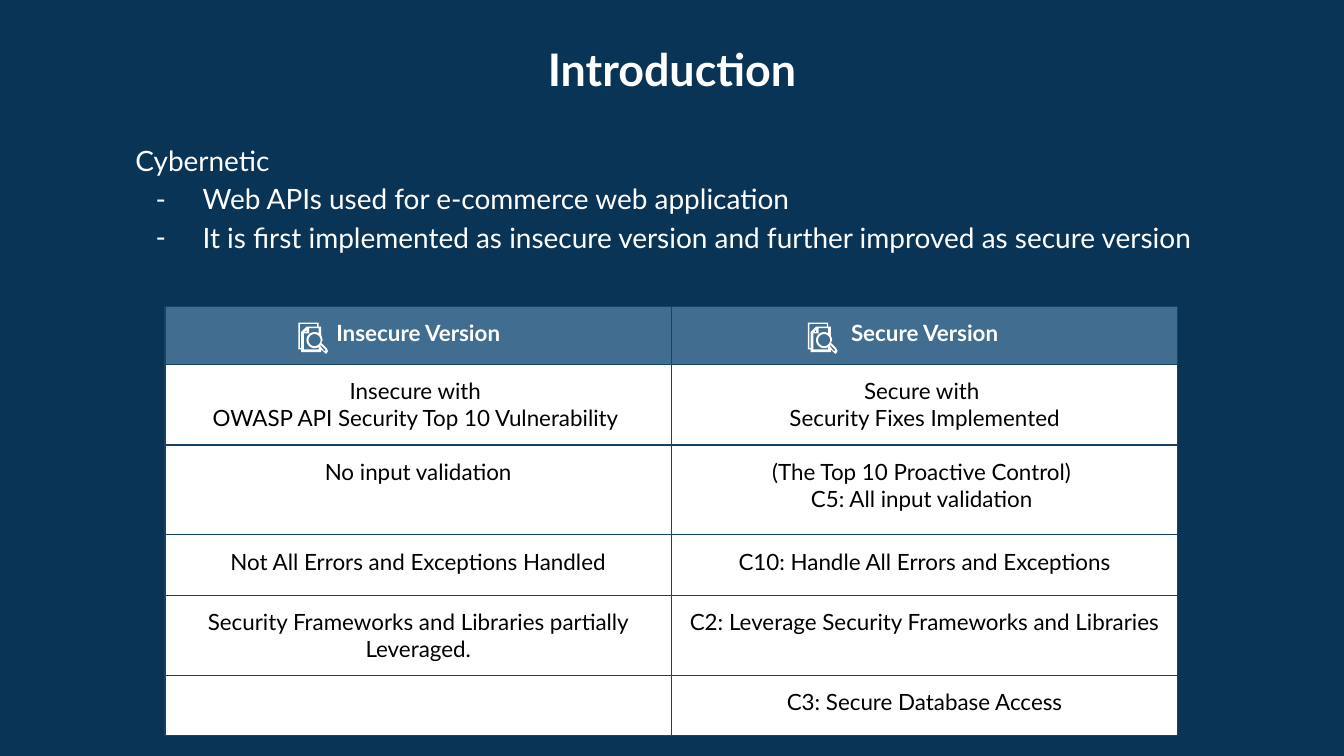
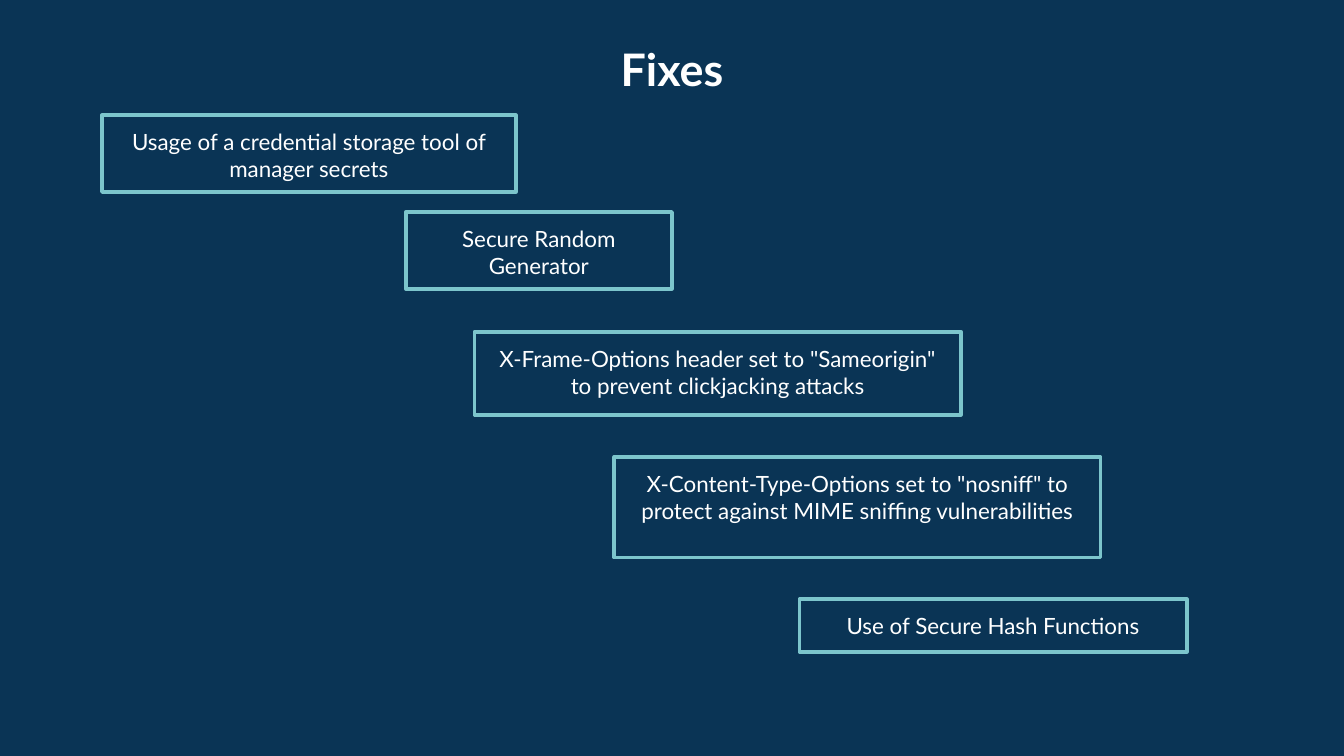
"""Build two slides: an introduction with a comparison table, and a cascade of fixes."""
import math
from dataclasses import dataclass

from lxml import etree
from pptx import Presentation
from pptx import util as u
from pptx.dml.color import RGBColor
from pptx.enum import shapes, text
from pptx.oxml.ns import qn

NAVY, STEEL, EDGE = "0A3455", "416D90", "174366"
AQUA, WHITE, BLACK = "7CC5CC", "FFFFFF", "000000"
FONT = "Lato"
PAD = 0.25
MID, LEFT = text.PP_ALIGN.CENTER, text.PP_ALIGN.LEFT


@dataclass(frozen=True)
class Box:
    """A place on the slide in centimetres."""
    left: float
    top: float
    width: float
    height: float

    def emu(self) -> list[u.Length]:
        """Return left, top, width and height as lengths."""
        return [u.Cm(n) for n in (self.left, self.top, self.width, self.height)]


@dataclass(frozen=True)
class Style:
    """The look of a block of text."""
    size: float
    color: str = WHITE
    bold: bool = False
    align: text.PP_ALIGN = MID
    space: float = 1.0


@dataclass(frozen=True)
class Fix:
    """One framed fix."""
    box: Box
    label: str


HEAD = Style(24, bold=True)
BODY = Style(15, align=LEFT, space=1.15)
NOTE = Style(12)
TOP = Style(12, bold=True)
CELL = Style(12, BLACK)

TITLE = Box(5.46, 0.53, 14.48, 2.62)
INTRO = Box(2.31, 2.36, 20.78, 3.18)
GRID = Box(3.12, 5.79, 19.14, 8.12)
TALL = (1.1, 1.52, 1.7, 1.14, 1.52, 1.14)
ICONS = ((5.64, 6.1), (15.27, 6.1))

POINTS = (
    "Web APIs used for e-commerce web application",
    "It is first implemented as insecure version and further improved as secure version",
)
ROWS = (
    (["Insecure Version"], ["Secure Version"]),
    (["Insecure with ", "OWASP API Security Top 10 Vulnerability "],
     ["Secure with ", "Security Fixes Implemented"]),
    (["No input validation"],
     ["(The Top 10 Proactive Control) ", "C5: All input validation "]),
    (["Not All Errors and Exceptions Handled"],
     ["C10: Handle All Errors and Exceptions"]),
    (["Security Frameworks and Libraries partially Leveraged."],
     ["C2: Leverage Security Frameworks and Libraries"]),
    ([], ["C3: Secure Database Access"]),
)
FIXES = (
    Fix(Box(1.93, 2.18, 7.82, 1.45), "Usage of a credential storage tool of manager secrets"),
    Fix(Box(7.67, 4.01, 5.03, 1.45), "Secure Random Generator"),
    Fix(Box(8.97, 6.27, 9.19, 1.57),
        'X-Frame-Options header set to "Sameorigin" to prevent clickjacking attacks'),
    Fix(Box(11.61, 8.64, 9.19, 1.9),
        'X-Content-Type-Options set to "nosniff" to protect against MIME sniffing vulnerabilities'),
    Fix(Box(15.11, 11.33, 7.32, 0.99), "Use of Secure Hash Functions"),
)


def arc(size: float, start: int, stop: int) -> list[tuple[float, float]]:
    """Return points on a circle around the lens of the icon."""
    turns = [math.radians(a) for a in range(start, stop + 1, 15)]
    return [(12 + size * math.cos(a), 13 + size * math.sin(a)) for a in turns]


RINGS = (
    [(0, 0), (0, 20), (2, 20), (2, 22), (17, 22), (17, 20), (19, 22), (20, 23), (21, 23),
     (22, 21), (21, 19), (17, 15), (18, 13), (17, 9), (17, 3), (15, 3), (15, 0)],
    [(6, 5), (6, 7), (5, 7)],
    arc(4.5, 0, 345),
    [(14, 1), (14, 3), (6, 3), (2, 7), (2, 19), (1, 19), (1, 1)],
    [(15, 20), (4, 20), (4, 8), (8, 8), (8, 4), (15, 4), *reversed(arc(6, 60, 300))],
    [(17, 17), (20, 20), (20, 21), (19, 21), (16, 17)],
)


def apply(item, look: dict) -> None:
    """Set every value of a dict as an attribute."""
    for name, value in look.items():
        setattr(item, name, value)


def rgb(code: str) -> RGBColor:
    """Turn a hex string into a colour."""
    return RGBColor.from_string(code)


def paint(fill, code: str) -> None:
    """Give a fill one plain colour."""
    fill.solid()
    fill.fore_color.rgb = rgb(code)


def write(frame, lines: list[str], style: Style) -> None:
    """Write one paragraph per line in a style."""
    for i, line in enumerate(lines):
        para = frame.paragraphs[0] if i == 0 else frame.add_paragraph()
        apply(para, {"alignment": style.align, "line_spacing": style.space})
        run = para.add_run()
        run.text = line
        apply(run.font, {"name": FONT, "size": u.Pt(style.size), "bold": style.bold})
        run.font.color.rgb = rgb(style.color)


def fit(frame) -> None:
    """Set wrapping, anchor and even margins."""
    apply(frame, {"word_wrap": True, "auto_size": text.MSO_AUTO_SIZE.NONE,
                  "vertical_anchor": text.MSO_ANCHOR.TOP})
    apply(frame, {f"margin_{s}": u.Cm(PAD) for s in ("left", "top", "right", "bottom")})


def dash(para) -> None:
    """Turn a paragraph into a dashed list item."""
    prop = para._p.get_or_add_pPr()
    prop.set("marL", str(u.Cm(1.27)))
    prop.set("indent", str(u.Cm(-0.89)))
    tint = etree.SubElement(prop, qn("a:buClr"))
    etree.SubElement(tint, qn("a:srgbClr"), val=WHITE)
    etree.SubElement(prop, qn("a:buFont"), typeface=FONT)
    etree.SubElement(prop, qn("a:buChar"), char="-")


def edge(cell) -> None:
    """Draw thin lines on all four sides of a cell."""
    prop = cell._tc.get_or_add_tcPr()
    for i, side in enumerate("LRTB"):
        line = etree.Element(qn(f"a:ln{side}"), w=str(u.Pt(0.75)))
        fill = etree.SubElement(line, qn("a:solidFill"))
        etree.SubElement(fill, qn("a:srgbClr"), val=EDGE)
        prop.insert(i, line)


def page(deck, name: str):
    """Add a slide with its title."""
    slide = deck.slides.add_slide(deck.slide_layouts[5])
    title = slide.shapes.title
    apply(title, dict(zip(("left", "top", "width", "height"), TITLE.emu())))
    fit(title.text_frame)
    write(title.text_frame, [name], HEAD)
    return slide


def table(slide) -> None:
    """Add the comparison of both versions."""
    grid = slide.shapes.add_table(len(ROWS), len(ROWS[0]), *GRID.emu()).table
    apply(grid, {"first_row": False, "horz_banding": False})
    for col in grid.columns:
        col.width = u.Cm(GRID.width / len(ROWS[0]))
    for r, (row, tall) in enumerate(zip(ROWS, TALL)):
        grid.rows[r].height = u.Cm(tall)
        for c, lines in enumerate(row):
            cell = grid.cell(r, c)
            apply(cell, {f"margin_{s}": u.Cm(PAD) for s in ("left", "top", "right", "bottom")})
            paint(cell.fill, WHITE if r else STEEL)
            edge(cell)
            write(cell.text_frame, lines, CELL if r else TOP)
            if not lines:
                para = cell.text_frame.paragraphs[0]._p
                etree.SubElement(para, qn("a:endParaRPr"), sz=str(CELL.size * 100))


def icon(slide, left: float, top: float) -> None:
    """Draw a sheet of paper under a lens."""
    step = u.Cm(2.54) / 100
    pen = None
    for ring in RINGS:
        first, *rest = [(x * step, y * step) for x, y in ring]
        if pen is None:
            pen = slide.shapes.build_freeform(*first)
        else:
            pen.move_to(*first)
        pen.add_line_segments(rest, close=True)
    shape = pen.convert_to_shape(u.Cm(left), u.Cm(top))
    shape.shadow.inherit = False
    paint(shape.fill, WHITE)
    shape.line.fill.background()


def frame(slide, fix: Fix) -> None:
    """Add one framed fix."""
    shape = slide.shapes.add_shape(shapes.MSO_SHAPE.RECTANGLE, *fix.box.emu())
    shape.shadow.inherit = False
    paint(shape.fill, NAVY)
    paint(shape.line.fill, AQUA)
    shape.line.width = u.Pt(2)
    fit(shape.text_frame)
    write(shape.text_frame, [fix.label], NOTE)


def intro(deck) -> None:
    """Build the introduction slide."""
    slide = page(deck, "Introduction")
    body = slide.shapes.add_textbox(*INTRO.emu()).text_frame
    fit(body)
    write(body, ["Cybernetic", *POINTS], BODY)
    for para in body.paragraphs[1:]:
        dash(para)
    table(slide)
    for left, top in ICONS:
        icon(slide, left, top)


def fixes(deck) -> None:
    """Build the slide of fixes."""
    slide = page(deck, "Fixes")
    for fix in FIXES:
        frame(slide, fix)


def main() -> None:
    """Build and save the deck."""
    deck = Presentation()
    apply(deck, {"slide_width": u.Cm(25.4), "slide_height": u.Cm(14.29)})
    paint(deck.slide_layouts[5].background.fill, NAVY)
    intro(deck)
    fixes(deck)
    deck.save("out.pptx")


if __name__ == "__main__":
    main()
